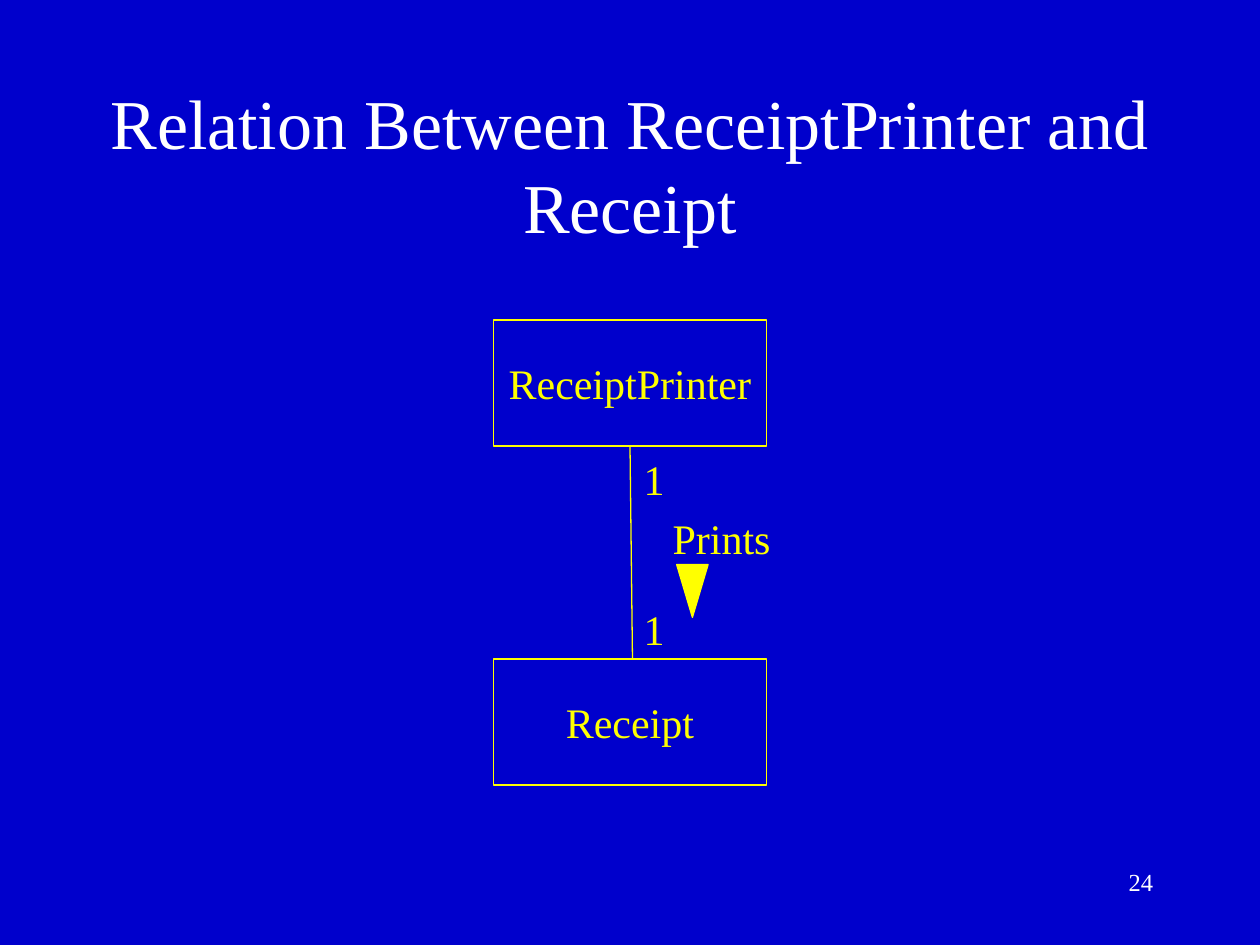
import pptx
import pptx.util
import pptx.dml.color
import pptx.enum.shapes
import pptx.enum.text
import pptx.oxml.ns
import lxml.etree

Inch = pptx.util.Inches
Shape = pptx.enum.shapes.MSO_SHAPE
Align = pptx.enum.text.PP_ALIGN
Anchor = pptx.enum.text.MSO_ANCHOR
Fit = pptx.enum.text.MSO_AUTO_SIZE

FONT = "Times New Roman"
BLUE, WHITE, YELLOW = "0000CC", "FFFFFF", "FFFF00"
WIDE, HIGH = 10, 7.5
MID = WIDE / 2
BOX_W, BOX_H, TEXT_H = 2.17, 1, 0.5

TITLE = "Relation Between ReceiptPrinter and Receipt"
PAGE = "24"
# name, box top, label width
CLASSES = [("ReceiptPrinter", 2.54, 2.16), ("Receipt", 5.23, 1.24)]
# text, left, top, width
NOTES = [("1", 5.01, 3.55, 0.38), ("1", 5.01, 4.74, 0.38),
         ("Prints", 5.24, 4.02, 1)]


def color(code):
    return pptx.dml.color.RGBColor.from_string(code)


def write(frame, text, size, code, align):
    par = frame.paragraphs[0]
    par.alignment = align
    run = par.add_run()
    run.text = text
    run.font.size = pptx.util.Pt(size)
    run.font.name = FONT
    run.font.color.rgb = color(code)


def label(text, left, top, width, align=Align.LEFT, size=24, code=YELLOW):
    box = slide.shapes.add_textbox(*map(Inch, (left, top, width, TEXT_H)))
    frame = box.text_frame
    frame.word_wrap = True
    frame.auto_size = Fit.NONE
    write(frame, text, size, code, align)


def stroke(item):
    item.line.color.rgb = color(YELLOW)
    item.line.width = pptx.util.Pt(0.75)


def outline(kind, left, top, width, height):
    """Add a yellow-edged shape with no fill and no shadow."""
    shape = slide.shapes.add_shape(
        kind, *map(Inch, (left, top, width, height)))
    shape.shadow.inherit = False
    shape.fill.background()
    stroke(shape)
    return shape


deck = pptx.Presentation()
deck.slide_width, deck.slide_height = Inch(WIDE), Inch(HIGH)
slide = deck.slides.add_slide(deck.slide_layouts[5])
slide.background.fill.solid()
slide.background.fill.fore_color.rgb = color(BLUE)

title = slide.shapes.title
title.left, title.top, title.width, title.height = map(
    Inch, (0.75, 0.67, 8.5, 1.25))
title.text_frame.word_wrap = True
title.text_frame.auto_size = Fit.NONE
title.text_frame.vertical_anchor = Anchor.MIDDLE
write(title.text_frame, TITLE, 40, WHITE, Align.CENTER)

for name, top, width in CLASSES:
    outline(Shape.RECTANGLE, MID - BOX_W / 2, top, BOX_W, BOX_H)
    label(name, MID - width / 2, top + (BOX_H - TEXT_H) / 2, width,
          Align.CENTER)

link = slide.shapes.add_connector(
    pptx.enum.shapes.MSO_CONNECTOR.STRAIGHT,
    Inch(MID), Inch(CLASSES[0][1] + BOX_H),
    Inch(MID + 0.02), Inch(CLASSES[1][1]))
stroke(link)
lxml.etree.SubElement(link._element.spPr, pptx.oxml.ns.qn("a:effectLst"))

for note in NOTES:
    label(*note)

arrow = outline(Shape.ISOSCELES_TRIANGLE, 5.37, 4.48, 0.25, 0.42)
arrow.rotation = 180
arrow.fill.solid()
arrow.fill.fore_color.rgb = color(YELLOW)

label(PAGE, 7.17, 6.83, 2.08, Align.RIGHT, 14, WHITE)

deck.save("out.pptx")
